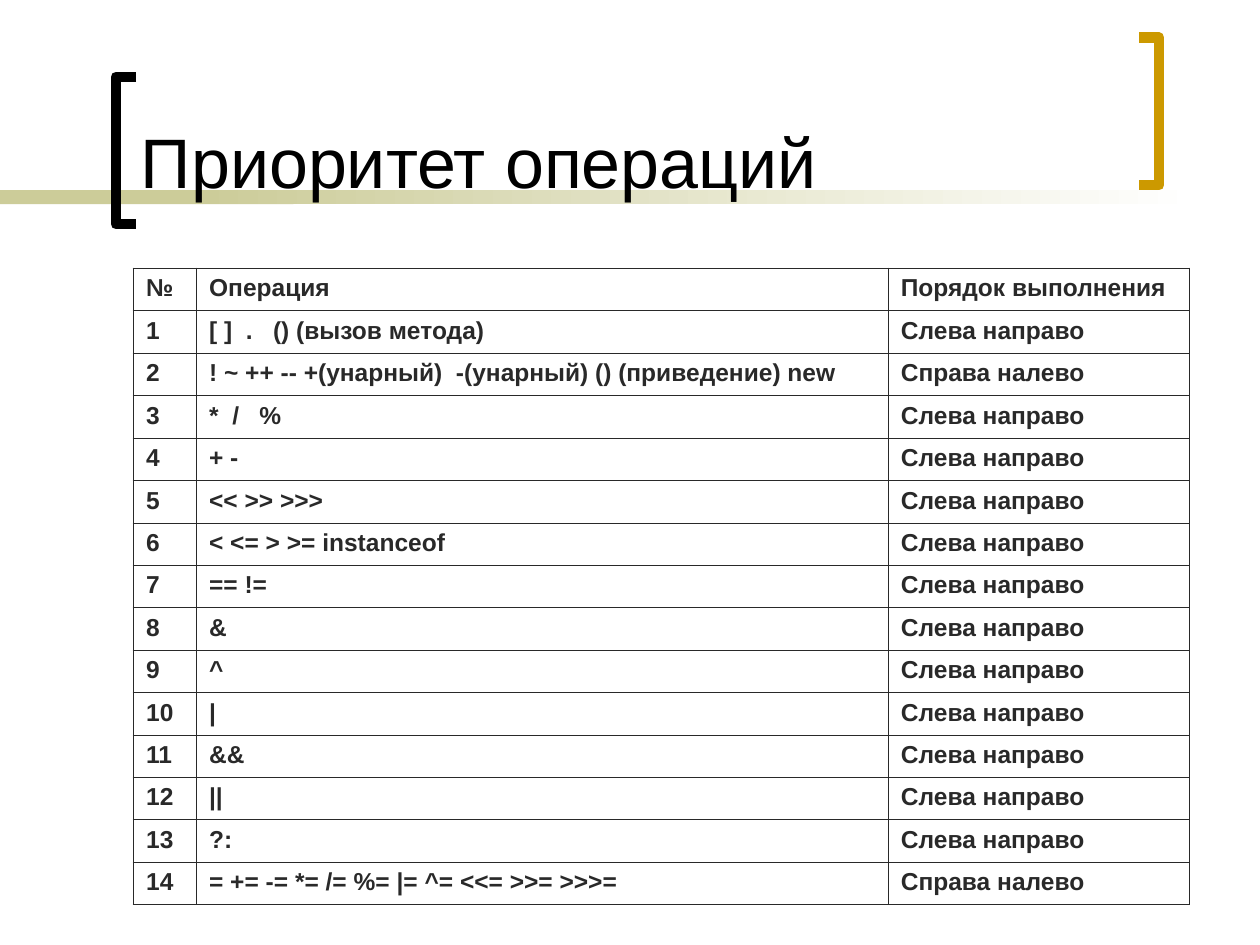
from lxml import etree
from pptx import Presentation
from pptx.dml.color import RGBColor
from pptx.enum import shapes, text
from pptx.oxml.ns import qn
from pptx.util import Inches, Pt

COLORS = {
    "black": "000000",
    "ink": "292929",
    "khaki": "CCCC99",
    "gold": "CC9900",
    "white": "FFFFFF",
}
FONT = "Arial"
THIN, THICK = Pt(0.45), Pt(1.08)
COL_WIDTHS = [0.5, 5.49, 2.39]
TABLE_HEIGHT = 5.05

HEADER = ("№", "Операция", "Порядок выполнения")
OPERATIONS = [
    "[ ]  .   () (вызов метода)",
    "! ~ ++ -- +(унарный)  -(унарный) () (приведение) new",
    "*  /   %",
    "+ -",
    "<< >> >>>",
    "< <= > >= instanceof",
    "== !=",
    "&",
    "^",
    "|",
    "&&",
    "||",
    "?:",
    "= += -= *= /= %= |= ^= <<= >>= >>>=",
]
RIGHT_TO_LEFT = {2, 14}


def rgb(name):
    return RGBColor.from_string(COLORS[name])


def write(tf, content, size, color, bold=False, before=0):
    p = tf.paragraphs[0]
    p.space_before = Pt(before)
    r = p.add_run()
    r.text = content
    r.font.name = FONT
    r.font.size = Pt(size)
    r.font.bold = bold
    r.font.color.rgb = rgb(color)


def add_band(s, left, width, fade=False):
    sp = s.shapes.add_shape(shapes.MSO_SHAPE.RECTANGLE, Inches(left),
                            Inches(1.51), Inches(width), Inches(0.11))
    sp.shadow.inherit = False
    sp.line.fill.background()
    if fade:
        sp.fill.gradient()
        sp.fill.gradient_angle = 0
        for stop, color in zip(sp.fill.gradient_stops, ("khaki", "white")):
            stop.color.rgb = rgb(color)
            stop.position = 0 if color == "khaki" else 1
    else:
        sp.fill.solid()
        sp.fill.fore_color.rgb = rgb("khaki")


def add_bracket(s, tip, spine, top, color):
    """Open square bracket: tips at x = tip, upright at x = spine."""
    bottom = top + 1.17
    points = [(spine, top), (spine, bottom), (tip, bottom)]
    builder = s.shapes.build_freeform(Inches(tip), Inches(top))
    builder.add_line_segments([(Inches(x), Inches(y)) for x, y in points],
                              close=False)
    sp = builder.convert_to_shape()
    sp.shadow.inherit = False
    sp.fill.background()
    sp.line.color.rgb = rgb(color)
    sp.line.width = Pt(6)


def add_title(s, content):
    tf = s.shapes.add_textbox(Inches(1.02), Inches(0.11),
                              Inches(7.83), Inches(1.55)).text_frame
    tf.word_wrap = True
    tf.vertical_anchor = text.MSO_ANCHOR.BOTTOM
    write(tf, content, size=40, color="black")


def set_borders(cell, widths):
    tc_pr = cell._tc.get_or_add_tcPr()
    # Border lines come before the fill in the cell properties
    for i, (side, width) in enumerate(widths.items()):
        ln = etree.Element(qn(f"a:ln{side}"), w=str(int(width)))
        fill = etree.SubElement(ln, qn("a:solidFill"))
        etree.SubElement(fill, qn("a:srgbClr"), val=COLORS["ink"])
        tc_pr.insert(i, ln)


def add_grid(s, rows):
    n_rows, n_cols = len(rows), len(COL_WIDTHS)
    table = s.shapes.add_table(n_rows, n_cols, Inches(1.06), Inches(2.13),
                               Inches(sum(COL_WIDTHS)),
                               Inches(TABLE_HEIGHT)).table
    table.first_row = table.horz_banding = False
    for col, width in zip(table.columns, COL_WIDTHS):
        col.width = Inches(width)
    for i, row in enumerate(rows):
        for j, content in enumerate(row):
            cell = table.cell(i, j)
            cell.fill.background()
            write(cell.text_frame, content, size=14, color="ink",
                  bold=True, before=3.5)
            # Thick outer frame, thin inner lines
            set_borders(cell, {
                "L": THICK if j == 0 else THIN,
                "R": THICK if j == n_cols - 1 else THIN,
                "T": THICK if i == 0 else THIN,
                "B": THICK if i == n_rows - 1 else THIN,
            })


def main():
    prs = Presentation()
    prs.slide_width, prs.slide_height = Inches(10), Inches(7.5)
    s = prs.slides.add_slide(prs.slide_layouts[6])

    # Decoration
    add_band(s, 0, 2.33)
    add_band(s, 1.58, 7.92, fade=True)
    add_bracket(s, tip=1.08, spine=0.92, top=0.61, color="black")
    add_bracket(s, tip=9.04, spine=9.2, top=0.3, color="gold")

    # Title
    add_title(s, "Приоритет операций")

    # Precedence table
    rows = [HEADER]
    for n, operation in enumerate(OPERATIONS, 1):
        order = "Справа налево" if n in RIGHT_TO_LEFT else "Слева направо"
        rows.append((str(n), operation, order))
    add_grid(s, rows)

    prs.save("out.pptx")


if __name__ == "__main__":
    main()
